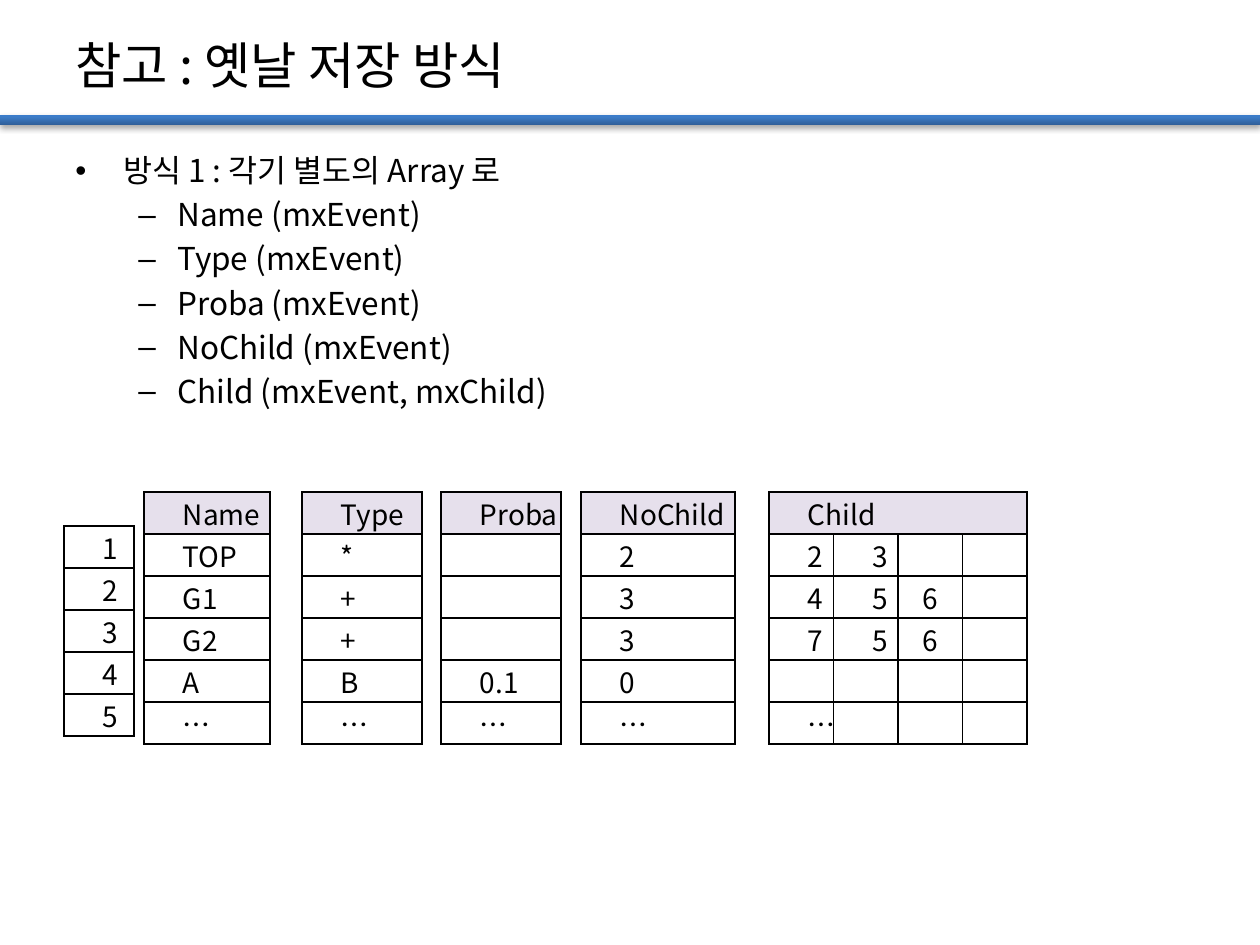
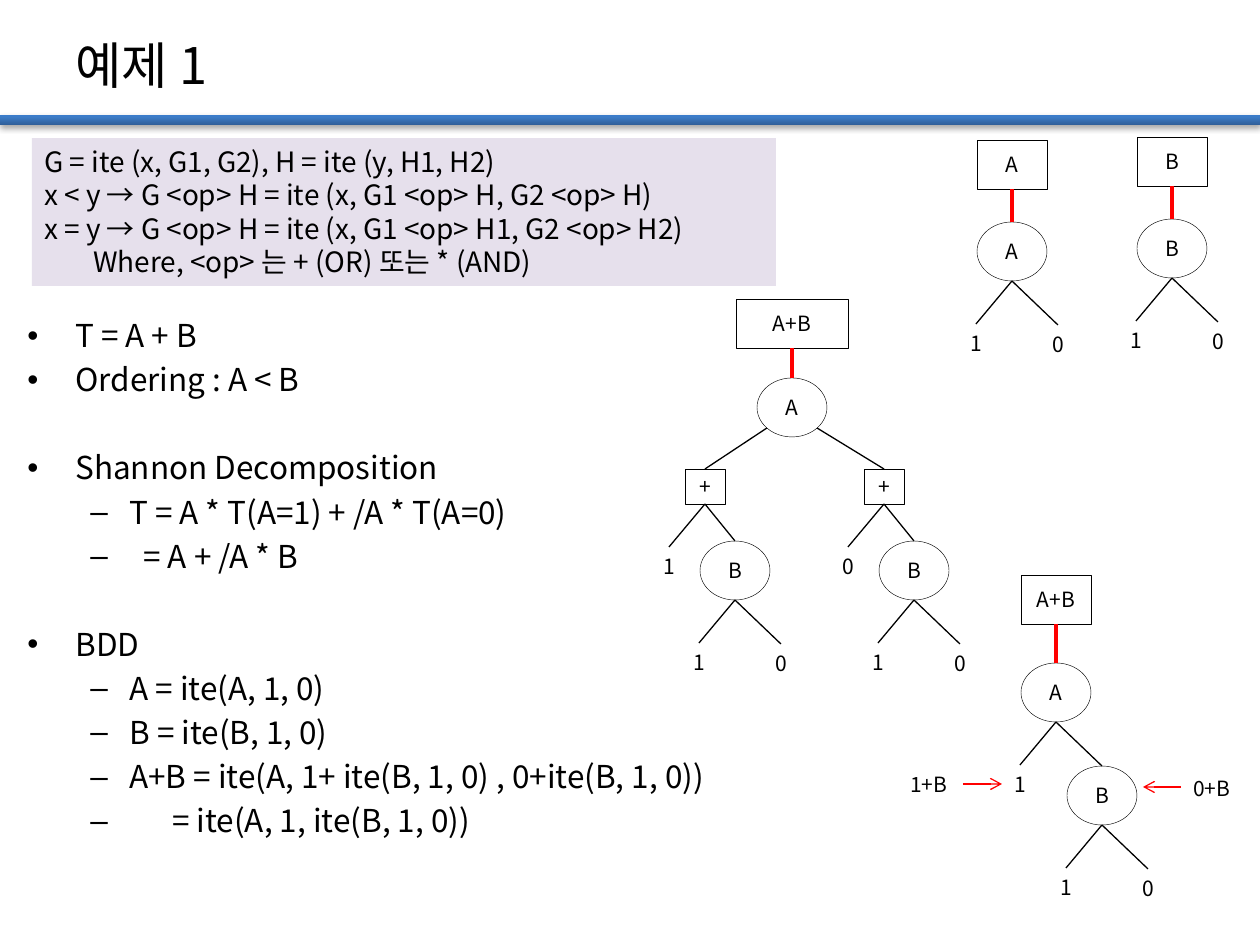
from dataclasses import dataclass
from typing import Any, Optional

from lxml.etree import SubElement
from pptx import Presentation
from pptx.dml.color import RGBColor
from pptx.enum.shapes import MSO_CONNECTOR, MSO_SHAPE
from pptx.enum.text import MSO_ANCHOR, MSO_AUTO_SIZE, PP_ALIGN
from pptx.oxml import parse_xml
from pptx.oxml.ns import nsdecls, qn
from pptx.util import Emu, Pt

BLACK = RGBColor(0x00, 0x00, 0x00)
RED = RGBColor(0xFF, 0x00, 0x00)
LILAC = RGBColor(0xE6, 0xE0, 0xEC)
BAND_STOPS = (
    (0, RGBColor(0x2F, 0x5F, 0x99)),
    (80, RGBColor(0x3D, 0x7C, 0xC7)),
    (100, RGBColor(0x3A, 0x7C, 0xCB)),
)
FONT = "Noto Sans CJK KR"
WIDTH, HEIGHT = 1260, 945
ROW_HEIGHT = 42
SCALE = 914400 / 126
LINE_RATIO = 1.2
ELLIPSIS = "…"


def px(n: float) -> Emu:
    return Emu(round(n * SCALE))


@dataclass(frozen=True)
class Item:
    text: str
    level: int = 0
    shift: int = 0
    gap: bool = False


@dataclass(frozen=True)
class Grid:
    x: int
    y: int
    w: int
    rows: tuple[tuple[str, ...], ...]
    header: bool = True


@dataclass(frozen=True)
class Node:
    text: str
    cx: int
    y: int
    w: int
    h: int
    kind: Any
    leaves: Optional[tuple[str, str]] = None
    right_leg: tuple[int, int] = (46, 44)


@dataclass(frozen=True)
class Line:
    x1: int
    y1: int
    x2: int
    y2: int
    color: RGBColor = BLACK
    weight: float = 0.75
    arrow: bool = False


def box(text: str, cx: int, y: int, w: int = 70) -> Node:
    return Node(text, cx, y, w, 49, MSO_SHAPE.RECTANGLE)


def circle(text: str, cx: int, y: int, leaves: Optional[tuple[str, str]] = ("1", "0")) -> Node:
    return Node(text, cx, y, 70, 59, MSO_SHAPE.OVAL, leaves)


def plus(cx: int, leaf: str) -> Node:
    return Node("+", cx, 469, 40, 35, MSO_SHAPE.RECTANGLE, (leaf, ""), (30, 37))


def stem(cx: int, top: int, bottom: int) -> Line:
    return Line(cx, top, cx, bottom, RED, 2.25)


def write(p: Any, text: str, size: float, **formats: Any) -> None:
    for key, value in formats.items():
        setattr(p, key, value)
    r = p.add_run()
    r.text = text
    for key, value in {"size": Pt(size), "name": FONT}.items():
        setattr(r.font, key, value)
    r.font.color.rgb = BLACK
    SubElement(r.font._element, qn("a:ea"), typeface=FONT)


def spaced(size: float) -> dict[str, Any]:
    return {"line_spacing": Pt(round(size * LINE_RATIO, 1))}


def add_text(shapes: Any, x: float, y: int, w: int, h: int, **formats: Any) -> Any:
    tf = shapes.add_textbox(px(x), px(y), px(w), px(h)).text_frame
    for key, value in {"word_wrap": True, **formats}.items():
        setattr(tf, key, value)
    return tf


def add_label(shapes: Any, text: str, x: float, y: int, w: int = 37, align: Any = PP_ALIGN.CENTER) -> None:
    tf = add_text(shapes, x, y, w, 38, word_wrap=False, auto_size=MSO_AUTO_SIZE.SHAPE_TO_FIT_TEXT)
    write(tf.paragraphs[0], text, 12, alignment=align, **spaced(12))


def add_line(shapes: Any, line: Line) -> None:
    c = shapes.add_connector(MSO_CONNECTOR.STRAIGHT, px(line.x1), px(line.y1), px(line.x2), px(line.y2))
    c.line.color.rgb = line.color
    c.line.width = Pt(line.weight)
    if line.arrow:
        SubElement(c.line._get_or_add_ln(), qn("a:tailEnd"), type="arrow")
    SubElement(c._element.spPr, qn("a:effectLst"))


def add_node(shapes: Any, node: Node) -> None:
    sp = shapes.add_shape(node.kind, px(node.cx - node.w / 2), px(node.y), px(node.w), px(node.h))
    sp.shadow.inherit = False
    sp.fill.background()
    sp.line.color.rgb = BLACK
    sp.line.width = Pt(0.25)
    tf = sp.text_frame
    tf.word_wrap = False
    tf.vertical_anchor = MSO_ANCHOR.MIDDLE
    write(tf.paragraphs[0], node.text, 12, alignment=PP_ALIGN.CENTER, **spaced(12))
    if node.leaves is None:
        return
    bottom = node.y + node.h
    for leaf, (dx, dy) in zip(node.leaves, ((-36, 43), node.right_leg)):
        x, y = node.cx + dx, bottom + dy
        add_line(shapes, Line(x, y, node.cx, bottom))
        if leaf:
            add_label(shapes, leaf, x - 18.5, y)


def add_diagram(shapes: Any, nodes: tuple[Node, ...], lines: tuple[Line, ...]) -> None:
    for node in nodes:
        add_node(shapes, node)
    for line in lines:
        add_line(shapes, line)


def add_list(s: Any, x: int, y: int, w: int, h: int, items: tuple[Item, ...]) -> None:
    tf = add_text(s.shapes, x, y, w, h)
    for i, item in enumerate(items):
        p = tf.add_paragraph() if i else tf.paragraphs[0]
        before = Pt(28.8 if item.gap else 3.6)
        write(p, item.text, 18, level=item.level, space_before=before, **spaced(18))
        left, hang, bullet = ((48, 48, "•"), (102, 39, "–"))[item.level]
        pPr = p._p.get_or_add_pPr()
        pPr.set("marL", str(px(left + item.shift)))
        pPr.set("indent", str(-px(hang + item.shift)))
        SubElement(pPr, qn("a:buFont"), typeface="Arial")
        SubElement(pPr, qn("a:buChar"), char=bullet)


def add_cell(cell: Any, text: str, centred: bool, shaded: bool) -> None:
    margins = {"margin_left": px(1 if centred else 39), "margin_right": px(1),
               "margin_top": px(1), "margin_bottom": 0}
    for key, value in {**margins, "vertical_anchor": MSO_ANCHOR.MIDDLE}.items():
        setattr(cell, key, value)
    p = cell.text_frame.paragraphs[0]
    if text:
        write(p, text, 16, alignment=PP_ALIGN.CENTER if centred else PP_ALIGN.LEFT)
    else:
        p._p.get_or_add_endParaRPr().set("sz", "1600")
    tcPr = cell._tc.get_or_add_tcPr()
    for side in ("lnL", "lnR", "lnT", "lnB"):
        ln = SubElement(tcPr, qn(f"a:{side}"), w=str(Pt(1)))
        SubElement(SubElement(ln, qn("a:solidFill")), qn("a:srgbClr"), val=str(BLACK))
    if shaded:
        cell.fill.solid()
        cell.fill.fore_color.rgb = LILAC
    else:
        cell.fill.background()


def add_grid(s: Any, grid: Grid) -> None:
    n_rows, n_cols = len(grid.rows), max(map(len, grid.rows))
    tbl = s.shapes.add_table(n_rows, n_cols, px(grid.x), px(grid.y), px(grid.w), px(ROW_HEIGHT * n_rows)).table
    tbl.first_row = tbl.horz_banding = False
    for i, row in enumerate(grid.rows):
        for j in range(n_cols):
            text = row[j] if j < len(row) else ""
            add_cell(tbl.cell(i, j), text, j == 2, grid.header and i == 0)
    if grid.header and n_cols > 1:
        tbl.cell(0, 0).merge(tbl.cell(0, n_cols - 1))


def add_band(s: Any) -> None:
    sp = s.shapes.add_shape(MSO_SHAPE.RECTANGLE, 0, px(115), px(WIDTH), px(10))
    sp.line.fill.background()
    stops = "".join(f'<a:gs pos="{pos * 1000}"><a:srgbClr val="{color}"/></a:gs>' for pos, color in BAND_STOPS)
    spPr = sp._element.spPr
    spPr.insert(2, parse_xml(
        f'<a:gradFill {nsdecls("a")} rotWithShape="1"><a:gsLst>{stops}</a:gsLst>'
        '<a:lin ang="16200000" scaled="0"/></a:gradFill>'))
    spPr.append(parse_xml(
        f'<a:effectLst {nsdecls("a")}><a:outerShdw blurRad="{Pt(3.1)}" dist="{Pt(1.8)}" dir="5400000" '
        f'rotWithShape="0"><a:srgbClr val="{BLACK}"><a:alpha val="35000"/></a:srgbClr>'
        '</a:outerShdw></a:effectLst>'))


def add_slide(prs: Any, title: str) -> Any:
    s = prs.slides.add_slide(prs.slide_layouts[6])
    add_band(s)
    tf = add_text(s.shapes, 63, 26, 1134, 77, vertical_anchor=MSO_ANCHOR.MIDDLE)
    write(tf.paragraphs[0], title, 28.8, **spaced(28.8))
    return s


def add_rules(s: Any, lines: tuple[str, ...]) -> None:
    sp = s.shapes.add_shape(MSO_SHAPE.RECTANGLE, px(32), px(138), px(744), px(148))
    sp.shadow.inherit = False
    sp.fill.solid()
    sp.fill.fore_color.rgb = LILAC
    sp.line.fill.background()
    tf = sp.text_frame
    tf.word_wrap = True
    tf.vertical_anchor = MSO_ANCHOR.TOP
    for i, text in enumerate(lines):
        p = tf.add_paragraph() if i else tf.paragraphs[0]
        write(p, text, 16, alignment=PP_ALIGN.LEFT, **spaced(16))
    p._p.get_or_add_pPr().set("indent", str(px(49)))


def column(*values: str) -> tuple[tuple[str, ...], ...]:
    return tuple((value,) for value in values)


FIELDS = ("Name (mxEvent)", "Type (mxEvent)", "Proba (mxEvent)", "NoChild (mxEvent)",
          "Child (mxEvent, mxChild)")
GRIDS = (
    Grid(144, 492, 126, column("Name", "TOP", "G1", "G2", "A", ELLIPSIS)),
    Grid(302, 492, 120, column("Type", "*", "+", "+", "B", ELLIPSIS)),
    Grid(769, 492, 258, (("Child",), ("2", "3", "", ""), ("4", "5", "6"), ("7", "5", "6"), (), (ELLIPSIS,))),
    Grid(441, 492, 120, column("Proba", "", "", "", "0.1", ELLIPSIS)),
    Grid(581, 492, 154, column("NoChild", "2", "3", "3", "0", ELLIPSIS)),
    Grid(64, 526, 70, column("1", "2", "3", "4", "5"), header=False),
)
RULES = (
    "G = ite (x, G1, G2), H = ite (y, H1, H2)",
    "x < y → G <op> H = ite (x, G1 <op> H, G2 <op> H)",
    "x = y → G <op> H = ite (x, G1 <op> H1, G2 <op> H2)",
    "Where, <op> 는 + (OR) 또는 * (AND)",
)
STEPS = (
    Item("T = A + B"),
    Item("Ordering : A < B"),
    Item("Shannon Decomposition", gap=True),
    Item("T = A * T(A=1) + /A * T(A=0)", 1),
    Item("= A + /A * B", 1, shift=14),
    Item("BDD", gap=True),
    Item("A = ite(A, 1, 0)", 1),
    Item("B = ite(B, 1, 0)", 1),
    Item("A+B = ite(A, 1+ ite(B, 1, 0) , 0+ite(B, 1, 0))", 1),
    Item("= ite(A, 1, ite(B, 1, 0))", 1, shift=43),
)
INPUT_NODES = (box("A", 1012, 140), circle("A", 1012, 222), box("B", 1172, 137), circle("B", 1172, 219))
INPUT_LINES = (stem(1012, 189, 222), stem(1172, 186, 219))
REDUCED_NODES = (box("A+B", 1056, 575), circle("A", 1056, 663, ("1", "")), circle("B", 1102, 766))
REDUCED_LINES = (
    stem(1056, 624, 663),
    Line(963, 784, 1002, 784, RED, arrow=True),
    Line(1181, 787, 1143, 787, RED, arrow=True),
)
EXPANDED_NODES = (
    box("A+B", 792, 299, 112), circle("A", 792, 378, None),
    plus(705, "1"), circle("B", 735, 541),
    plus(884, "0"), circle("B", 914, 541),
)
EXPANDED_LINES = (stem(792, 348, 378), Line(705, 469, 767, 428), Line(884, 469, 817, 428))


def main() -> None:
    prs = Presentation()
    prs.slide_width, prs.slide_height = px(WIDTH), px(HEIGHT)

    s = add_slide(prs, "참고 : 옛날 저장 방식")
    add_list(s, 63, 145, 656, 307,
             (Item("방식 1 : 각기 별도의 Array 로"), *(Item(field, 1) for field in FIELDS)))
    for grid in GRIDS:
        add_grid(s, grid)

    s = add_slide(prs, "예제 1")
    add_list(s, 15, 310, 746, 534, STEPS)
    add_rules(s, RULES)
    add_diagram(s.shapes, INPUT_NODES, INPUT_LINES)
    add_diagram(s.shapes, REDUCED_NODES, REDUCED_LINES)
    add_label(s.shapes, "1+B", 898, 765, 64, PP_ALIGN.LEFT)
    add_label(s.shapes, "0+B", 1181, 769, 64, PP_ALIGN.LEFT)
    add_diagram(s.shapes.add_group_shape().shapes, EXPANDED_NODES, EXPANDED_LINES)

    prs.save("out.pptx")


main()
